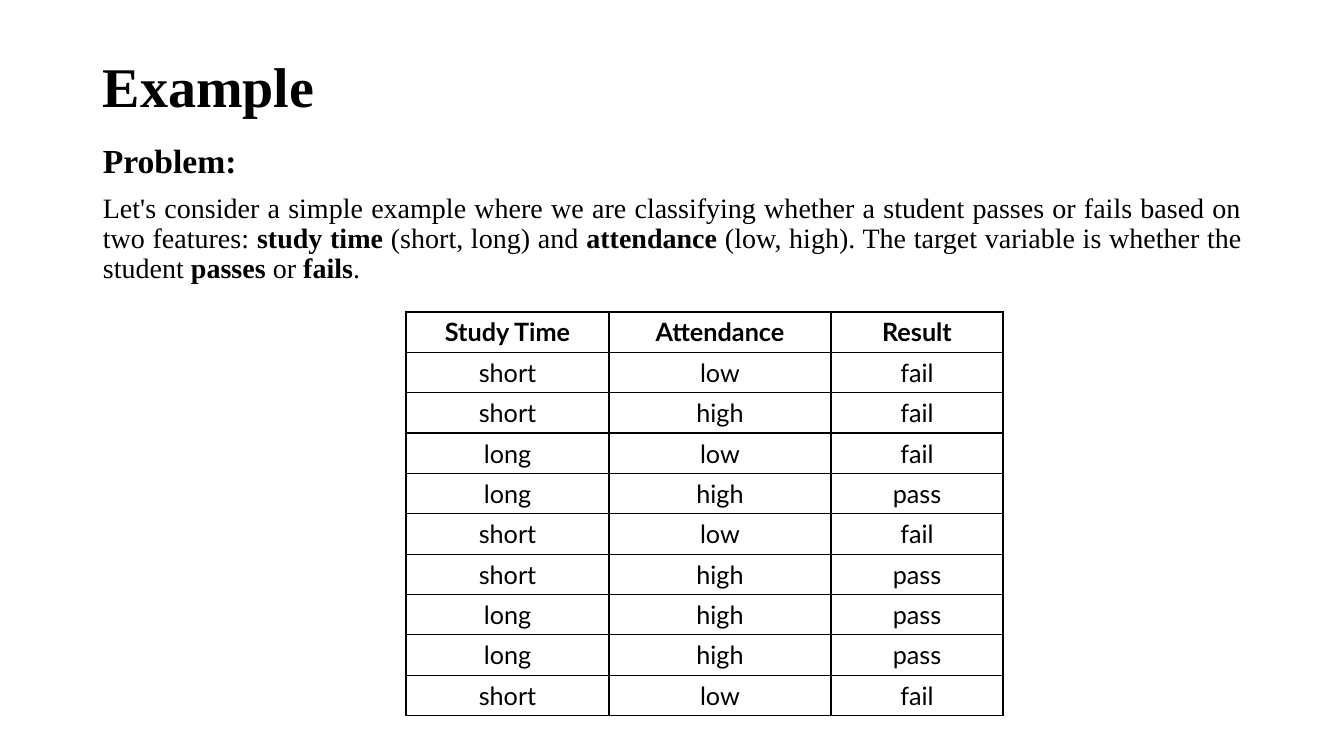
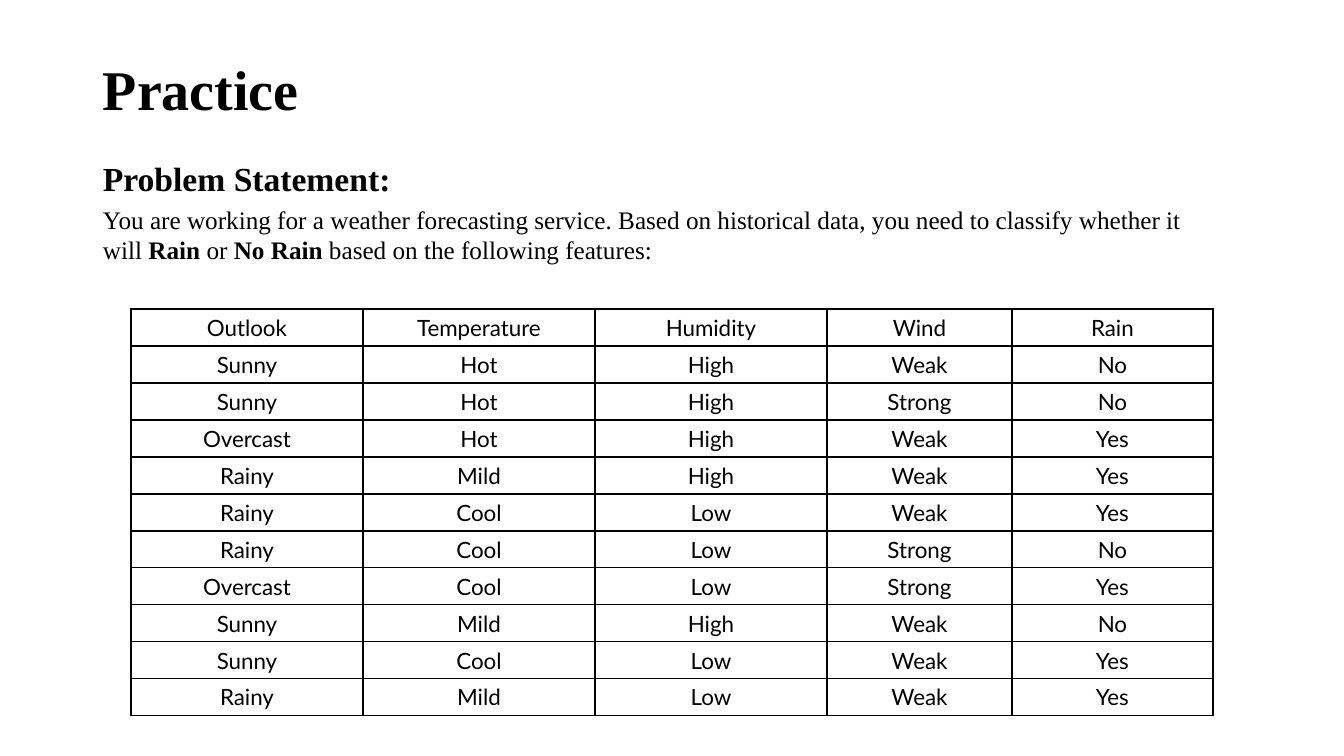
from lxml import etree
from pptx import Presentation
from pptx.dml.color import RGBColor
from pptx.enum import text
from pptx.oxml import ns
from pptx.util import Emu, Pt

# Shared style
PX = 914400 / 100.8
BLACK = RGBColor(0x00, 0x00, 0x00)
SERIF = "Times New Roman"
SANS = "Lato"
LEFT, TITLE_TOP, WIDTH = 93, 40, 1159
BODY_HEIGHT = 480
TIGHT = 0.9
BORDER_WIDTH = Pt(1)

# Wording: each run is (words, bold)
PROBLEM = [
    ("Let's consider a simple example where we are classifying whether a "
     "student passes or fails based on two features: ", False),
    ("study time", True),
    (" (short, long) and ", False),
    ("attendance", True),
    (" (low, high). The target variable is whether the student ", False),
    ("passes", True),
    (" or ", False),
    ("fails", True),
    (".", False),
]
STATEMENT = [
    ("You are working for a weather forecasting service. Based on historical "
     "data, you need to classify whether it will ", False),
    ("Rain", True),
    (" or ", False),
    ("No Rain", True),
    (" based on the following features:", False),
]

# Table contents
STUDENTS = [
    ("Study Time", "Attendance", "Result"),
    ("short", "low", "fail"),
    ("short", "high", "fail"),
    ("long", "low", "fail"),
    ("long", "high", "pass"),
    ("short", "low", "fail"),
    ("short", "high", "pass"),
    ("long", "high", "pass"),
    ("long", "high", "pass"),
    ("short", "low", "fail"),
]
WEATHER = [
    ("Outlook", "Temperature", "Humidity", "Wind", "Rain"),
    ("Sunny", "Hot", "High", "Weak", "No"),
    ("Sunny", "Hot", "High", "Strong", "No"),
    ("Overcast", "Hot", "High", "Weak", "Yes"),
    ("Rainy", "Mild", "High", "Weak", "Yes"),
    ("Rainy", "Cool", "Low", "Weak", "Yes"),
    ("Rainy", "Cool", "Low", "Strong", "No"),
    ("Overcast", "Cool", "Low", "Strong", "Yes"),
    ("Sunny", "Mild", "High", "Weak", "No"),
    ("Sunny", "Cool", "Low", "Weak", "Yes"),
    ("Rainy", "Mild", "Low", "Weak", "Yes"),
]


def px(length):
    return Emu(round(length * PX))


def add_runs(paragraph, runs, size, font=SERIF):
    for words, bold in runs:
        run = paragraph.add_run()
        run.text = words
        run.font.name = font
        run.font.size = Pt(size)
        run.font.bold = bold
        run.font.color.rgb = BLACK


def add_box(slide, box, anchor=text.MSO_ANCHOR.TOP):
    frame = slide.shapes.add_textbox(*map(px, box)).text_frame
    frame.word_wrap = True
    frame.vertical_anchor = anchor
    return frame


def add_title(slide, title, height):
    frame = add_box(slide, (LEFT, TITLE_TOP, WIDTH, height),
                    text.MSO_ANCHOR.MIDDLE)
    frame.paragraphs[0].line_spacing = TIGHT
    add_runs(frame.paragraphs[0], [(title, True)], 40)


def add_body(slide, top, heading):
    frame = add_box(slide, (LEFT, top, WIDTH, BODY_HEIGHT))
    frame.paragraphs[0].line_spacing = TIGHT
    add_runs(frame.paragraphs[0], [(heading, True)], 24)
    return frame


def add_borders(cell):
    properties = cell._tc.get_or_add_tcPr()
    for position, side in enumerate(("lnL", "lnR", "lnT", "lnB")):
        line = etree.Element(ns.qn(f"a:{side}"), w=str(BORDER_WIDTH))
        fill = etree.SubElement(line, ns.qn("a:solidFill"))
        etree.SubElement(fill, ns.qn("a:srgbClr"), val=str(BLACK))
        properties.insert(position, line)


def add_grid(slide, left, top, widths, row_height, rows, size,
             bold_header=False):
    table = slide.shapes.add_table(
        len(rows), len(widths), px(left), px(top),
        px(sum(widths)), px(row_height * len(rows))).table
    table.first_row = table.horz_banding = False
    for column, width in zip(table.columns, widths):
        column.width = px(width)
    for index, (row, entries) in enumerate(zip(table.rows, rows)):
        row.height = px(row_height)
        for cell, entry in zip(row.cells, entries):
            cell.fill.background()
            add_borders(cell)
            cell.vertical_anchor = text.MSO_ANCHOR.MIDDLE
            paragraph = cell.text_frame.paragraphs[0]
            paragraph.alignment = text.PP_ALIGN.CENTER
            add_runs(paragraph, [(entry, bold_header and index == 0)],
                     size, SANS)


def build_example(slide):
    add_title(slide, "Example", 99)
    # Heading and justified problem text
    problem = add_body(slide, 139, "Problem:").add_paragraph()
    problem.alignment = text.PP_ALIGN.JUSTIFY
    problem.line_spacing = TIGHT
    problem.space_before = Pt(10)
    add_runs(problem, PROBLEM, 20)
    # Student records
    add_grid(slide, 406, 312, (203, 222, 172), 40, STUDENTS, 18,
             bold_header=True)


def build_practice(slide):
    add_title(slide, "Practice", 105)
    add_body(slide, 158, "Problem Statement:")
    # Weather records
    add_grid(slide, 131, 309, (232, 232, 232, 185, 201), 37, WEATHER, 16)
    # Statement under the heading
    statement = add_box(slide, (LEFT, 199, 1121, 72))
    add_runs(statement.paragraphs[0], STATEMENT, 18)


def main():
    deck = Presentation()
    deck.slide_width, deck.slide_height = px(1344), px(756)
    blank = deck.slide_layouts[6]
    for build in (build_example, build_practice):
        build(deck.slides.add_slide(blank))
    deck.save("out.pptx")


if __name__ == "__main__":
    main()
